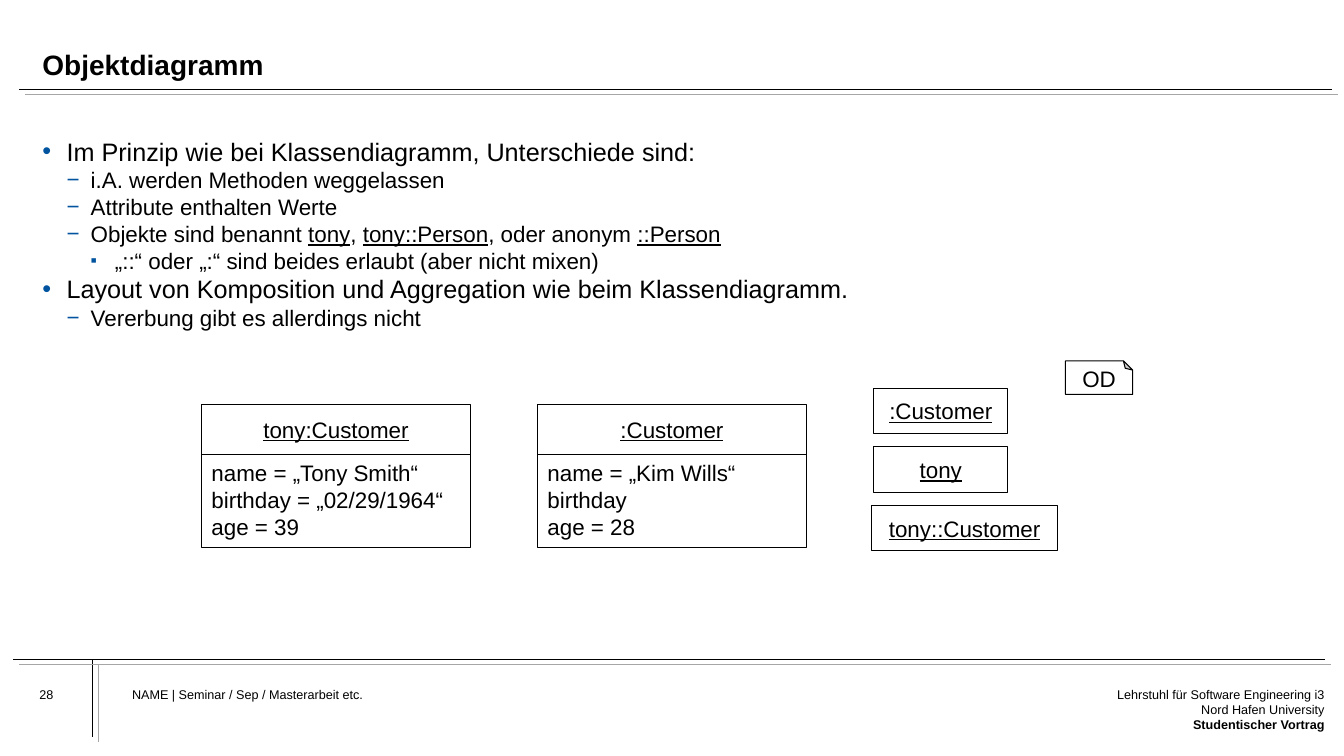
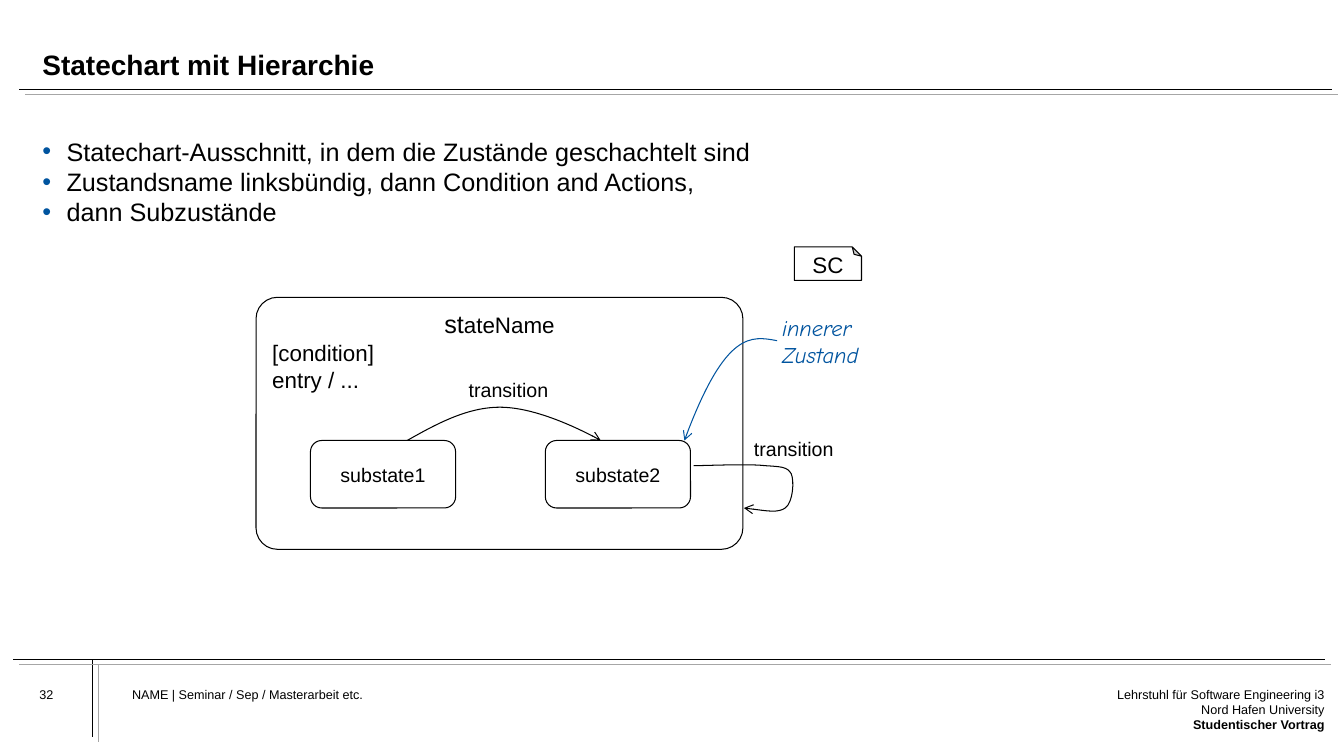
"""Build two lecture slides on object diagrams and hierarchical statecharts."""
from dataclasses import dataclass, replace
from typing import NamedTuple

from lxml import etree
from pptx import Presentation
from pptx import util as u
from pptx.dml.color import RGBColor
from pptx.enum import shapes, text
from pptx.oxml.ns import qn

BLACK = RGBColor(0x00, 0x00, 0x00)
GRAY = RGBColor(0xA6, 0xA6, 0xA6)
BLUE = RGBColor(0x00, 0x54, 0x9F)
WHITE = RGBColor(0xFF, 0xFF, 0xFF)

SLIDE_WIDTH, SLIDE_HEIGHT = u.Inches(13.33), u.Inches(7.5)
COLUMN, ROW = SLIDE_WIDTH / 40, SLIDE_HEIGHT / 30
INDENT = u.Inches(0.24)
LEFT, CENTER, RIGHT = text.PP_ALIGN.LEFT, text.PP_ALIGN.CENTER, text.PP_ALIGN.RIGHT
TOP, MIDDLE, BOTTOM = text.MSO_ANCHOR.TOP, text.MSO_ANCHOR.MIDDLE, text.MSO_ANCHOR.BOTTOM
RECTANGLE = shapes.MSO_SHAPE.RECTANGLE
ROUNDED = shapes.MSO_SHAPE.ROUNDED_RECTANGLE


class Box(NamedTuple):
    column: float
    row: float
    columns: float
    rows: float

    def lengths(self) -> tuple:
        return (*point(self.column, self.row), *point(self.columns, self.rows))


class Level(NamedTuple):
    sign: str
    text_size: int
    sign_percent: int = 100


@dataclass(frozen=True)
class Run:
    text: str
    size: float | None = None
    bold: bool = False
    underline: bool = False


@dataclass(frozen=True)
class Bullet:
    level: int
    runs: tuple


@dataclass(frozen=True)
class ObjectCard:
    column: float
    name: str
    attributes: tuple


@dataclass(frozen=True)
class Curve:
    points: tuple
    color: RGBColor = BLACK


LEVELS = (Level("•", 18), Level("−", 16), Level("▪", 16, 80))
TITLE_BOX = Box(1.26, 0.88, 37.68, 2.36)
BODY_BOX = Box(1.26, 5.4, 37.68, 19.2)
RULES = ((0.57, 3.56, 39.63, 3.56), (0.39, 26.16, 39.42, 26.16), (2.76, 26.16, 2.76, 29.24))
RULE_SHADES = ((BLACK, 0, 0), (GRAY, 0.18, 0.2))

OBJECT_BULLETS = (
    Bullet(0, (Run("Im Prinzip wie bei Klassendiagramm, Unterschiede sind:"),)),
    Bullet(1, (Run("i.A. werden Methoden weggelassen"),)),
    Bullet(1, (Run("Attribute enthalten Werte"),)),
    Bullet(1, (Run("Objekte sind benannt "), Run("tony", underline=True), Run(", "),
               Run("tony::Person", underline=True), Run(", oder anonym "),
               Run("::Person", underline=True))),
    Bullet(2, (Run("„::“ oder „:“ sind beides erlaubt (aber nicht mixen)"),)),
    Bullet(0, (Run("Layout von Komposition und Aggregation wie beim Klassendiagramm."),)),
    Bullet(1, (Run("Vererbung gibt es allerdings nicht"),)),
)
STATE_BULLETS = tuple(Bullet(0, (Run(line),)) for line in (
    "Statechart-Ausschnitt, in dem die Zustände geschachtelt sind",
    "Zustandsname linksbündig, dann Condition and Actions,",
    "dann Subzustände",
))
OBJECT_CARDS = (
    ObjectCard(6, "tony:Customer",
               ("name = „Tony Smith“", "birthday = „02/29/1964“", "age = 39")),
    ObjectCard(16, ":Customer", ("name = „Kim Wills“", "birthday", "age = 28")),
)
SHORT_OBJECTS = ((":Customer", 26, 4), ("tony", 26, 4), ("tony::Customer", 25.95, 5.52))
CURVES = (
    Curve(((23.13, 13.52), (22.35, 13.32), (21.57, 13.16), (20.37, 17.48)), BLUE),
    Curve(((12.12, 17.48), (13.02, 16.8), (13.92, 16.16), (14.88, 16.16),
           (15.84, 16.16), (17.37, 17.08), (17.88, 17.48))),
    Curve(((20.64, 18.48), (21, 18.48), (22.29, 18.4), (22.77, 18.48),
           (23.25, 18.52), (23.43, 18.52), (23.55, 18.8),
           (23.64, 19.08), (23.61, 19.92), (23.37, 20.16),
           (23.16, 20.36), (22.65, 20.24), (22.14, 20.16))),
)


def point(column: float, row: float) -> tuple:
    return round(column * COLUMN), round(row * ROW)


def add_element(parent, tag: str, **attributes):
    element = etree.SubElement(parent, qn(tag))
    for name, value in attributes.items():
        element.set(name, str(value))
    return element


def write_text(frame, *paragraphs, size: float = 16, color: RGBColor = BLACK,
               font: str = "Arial", bold: bool = False, italic: bool = False,
               underline: bool = False, align=LEFT, anchor=TOP, margin: float | None = None,
               wrap: bool = True, line_spacing: float = 1.0) -> None:
    frame.auto_size = text.MSO_AUTO_SIZE.NONE
    frame.word_wrap, frame.vertical_anchor = wrap, anchor
    if margin is not None:
        frame.margin_left = frame.margin_right = u.Inches(margin)
        frame.margin_top = frame.margin_bottom = u.Inches(margin)
    for index, content in enumerate(paragraphs):
        paragraph = frame.add_paragraph() if index else frame.paragraphs[0]
        paragraph.alignment, paragraph.line_spacing = align, line_spacing
        paragraph.space_before = paragraph.space_after = u.Pt(0)
        for part in (Run(content),) if isinstance(content, str) else content:
            run = paragraph.add_run()
            run.text = part.text
            run.font.name, run.font.size = font, u.Pt(part.size or size)
            run.font.bold, run.font.italic = bold or part.bold, italic
            run.font.underline = underline or part.underline
            run.font.color.rgb = color


def add_label(slide, box: Box, *paragraphs, **text_format) -> None:
    write_text(slide.shapes.add_textbox(*box.lengths()).text_frame, *paragraphs, **text_format)


def outline(shape, color: RGBColor = BLACK, fill: RGBColor | None = None) -> None:
    shape.shadow.inherit = False
    shape.line.color.rgb, shape.line.width = color, u.Pt(0.75)
    if fill is None:
        shape.fill.background()
    else:
        shape.fill.solid()
        shape.fill.fore_color.rgb = fill


def add_frame(slide, kind, box: Box, *paragraphs, fill: RGBColor | None = None,
              corner: float | None = None, **text_format):
    shape = slide.shapes.add_shape(kind, *box.lengths())
    outline(shape, fill=fill)
    if corner is not None:
        geometry = shape.element.xpath(".//a:prstGeom")[0]
        for child in list(geometry):
            geometry.remove(child)
        add_element(add_element(geometry, "a:avLst"), "a:gd", name="adj",
                    fmla=f"val {round(corner * 100000)}")
    write_text(shape.text_frame, *paragraphs, **text_format)
    return shape


def add_tag(slide, column: float, row: float, label: str) -> None:
    shape = add_frame(slide, shapes.MSO_SHAPE.FOLDED_CORNER, Box(column, row, 2, 1.33), label,
                      fill=WHITE, corner=0.276, align=CENTER, anchor=MIDDLE, line_spacing=0.7)
    shape.element.xpath(".//a:xfrm")[0].set("flipV", "1")
    shape.element.xpath(".//a:bodyPr | .//p:txBody/a:bodyPr")[0].set("rot", str(180 * 60000))


def add_rule(slide, start: tuple, end: tuple, color: RGBColor) -> None:
    rule = slide.shapes.add_connector(shapes.MSO_CONNECTOR.STRAIGHT, *point(*start), *point(*end))
    rule.line.color.rgb, rule.line.width = color, u.Pt(0.5)
    add_element(rule.element.spPr, "a:effectLst")


def add_curve(slide, curve: Curve) -> None:
    start, *rest = (point(*position) for position in curve.points)
    builder = slide.shapes.build_freeform(*start)
    builder.add_line_segments(rest, close=False)
    shape = builder.convert_to_shape()
    outline(shape, curve.color)
    segments = shape.element.xpath(".//a:lnTo")
    outline_points = segments[0].getparent()
    for index in range(0, len(segments), 3):
        bezier = add_element(outline_points, "a:cubicBezTo")
        for segment in segments[index:index + 3]:
            bezier.append(segment[0])
            outline_points.remove(segment)
    add_element(shape.element.xpath(".//a:ln")[0], "a:tailEnd", type="arrow")


def fill_body(body, bullets: tuple) -> None:
    contents = [tuple(replace(run, size=LEVELS[bullet.level].text_size) for run in bullet.runs)
                for bullet in bullets]
    write_text(body.text_frame, *contents, margin=0)
    for paragraph, bullet in zip(body.text_frame.paragraphs, bullets):
        level = LEVELS[bullet.level]
        paragraph.level = bullet.level
        properties = paragraph._p.get_or_add_pPr()
        properties.set("marL", str(INDENT * (bullet.level + 1)))
        properties.set("indent", str(-INDENT))
        add_element(add_element(properties, "a:buClr"), "a:srgbClr", val=BLUE)
        add_element(properties, "a:buSzPct", val=level.sign_percent * 1000)
        add_element(properties, "a:buFont", typeface="Arial")
        add_element(properties, "a:buChar", char=level.sign)


def add_lecture_slide(presentation, number: int, title: str, bullets: tuple):
    slide = presentation.slides.add_slide(presentation.slide_layouts[1])
    for color, right, down in RULE_SHADES:
        for x1, y1, x2, y2 in RULES:
            add_rule(slide, (x1 + right, y1 + down), (x2 + right, y2 + down), color)
    heading, body = slide.shapes.title, slide.placeholders[1]
    for placeholder, box in ((heading, TITLE_BOX), (body, BODY_BOX)):
        placeholder.left, placeholder.top, placeholder.width, placeholder.height = box.lengths()
    write_text(heading.text_frame, title, size=20, bold=True, anchor=BOTTOM, margin=0,
               line_spacing=0.9)
    fill_body(body, bullets)
    add_label(slide, Box(1.17, 27.24, 2.4, 1.72), str(number), size=9, margin=0)
    add_label(slide, Box(3.93, 27.24, 22.98, 2.76), "NAME | Seminar / Sep / Masterarbeit etc.",
              size=9, margin=0)
    add_label(slide, Box(32.97, 27.24, 6.45, 2.76), "Lehrstuhl für Software Engineering i3",
              "Nord Hafen University", (Run("Studentischer Vortrag", bold=True),),
              size=9, margin=0, align=RIGHT)
    return slide


def draw_object_diagram(slide) -> None:
    name_format = {"underline": True, "align": CENTER, "anchor": MIDDLE}
    for card in OBJECT_CARDS:
        add_frame(slide, RECTANGLE, Box(card.column, 16.04, 8, 2), card.name, **name_format)
        add_frame(slide, RECTANGLE, Box(card.column, 18.04, 8, 3.68), *card.attributes)
    for index, (name, column, columns) in enumerate(SHORT_OBJECTS):
        add_frame(slide, RECTANGLE, Box(column, 15.4 + 2.33 * index, columns, 1.8), name,
                  wrap=False, **name_format)
    add_tag(slide, 31.71, 14.32, "OD")


def draw_statechart(slide) -> None:
    state = add_frame(slide, ROUNDED, Box(7.62, 11.8, 14.49, 10),
                      (Run("st", size=18), Run("ateName")), "[condition]", "entry / ...",
                      corner=0.085)
    state.text_frame.paragraphs[0].alignment = CENTER
    add_label(slide, Box(22.98, 12.28, 3.66, 2.56), "innerer", "Zustand",
              font="Comic Neue", color=BLUE, italic=True)
    for name, column in (("substate1", 9.24), ("substate2", 16.23)):
        add_frame(slide, ROUNDED, Box(column, 17.48, 4.32, 2.68), name, fill=WHITE,
                  corner=0.167, size=14, align=CENTER, anchor=MIDDLE)
    for curve in CURVES:
        add_curve(slide, curve)
    for column, row in ((13.65, 14.8), (22.14, 17.16)):
        add_label(slide, Box(column, row, 2.97, 1.32), "transition", size=14, align=CENTER,
                  wrap=False)
    add_tag(slide, 23.64, 9.8, "SC")


def main() -> None:
    presentation = Presentation()
    presentation.slide_width, presentation.slide_height = SLIDE_WIDTH, SLIDE_HEIGHT
    draw_object_diagram(add_lecture_slide(presentation, 28, "Objektdiagramm", OBJECT_BULLETS))
    draw_statechart(add_lecture_slide(presentation, 32, "Statechart mit Hierarchie",
                                      STATE_BULLETS))
    presentation.save("out.pptx")


if __name__ == "__main__":
    main()
